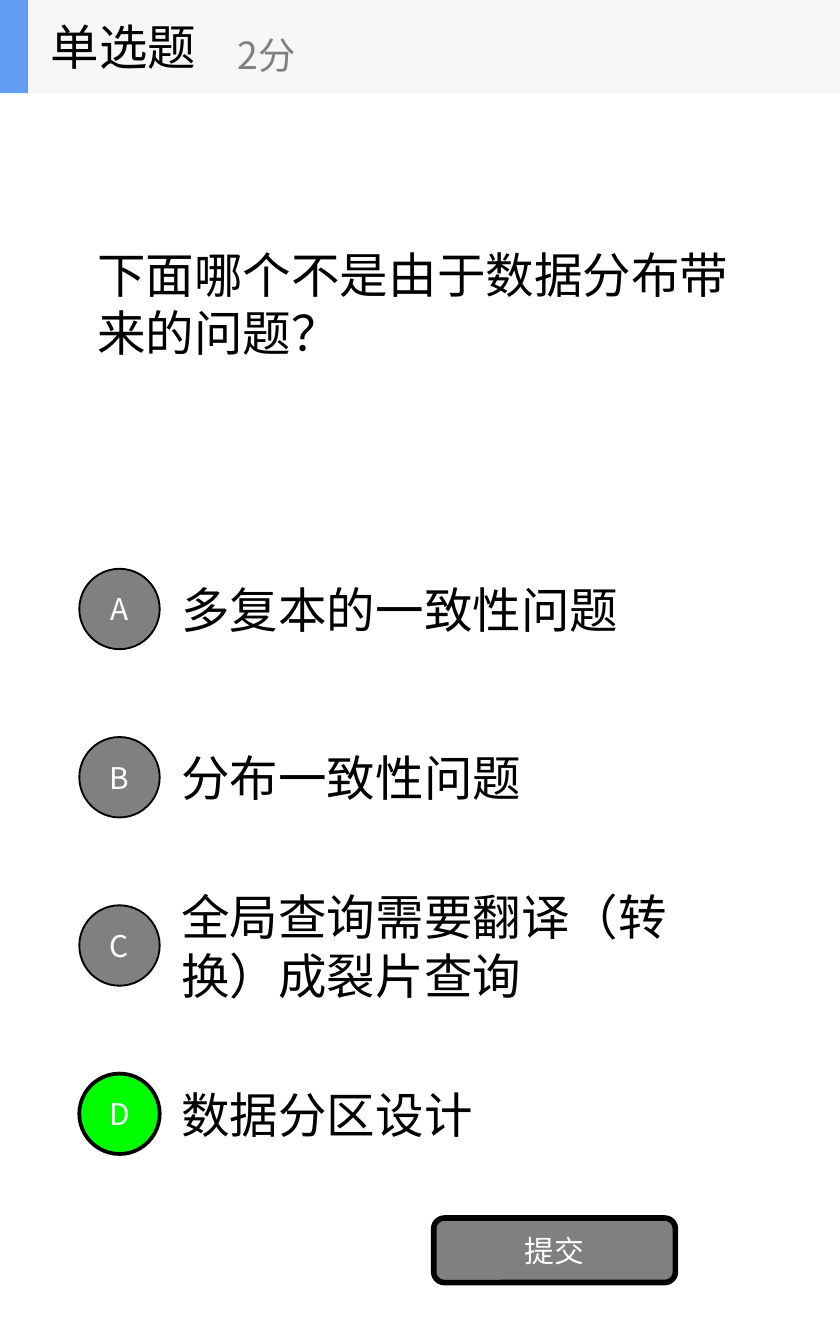
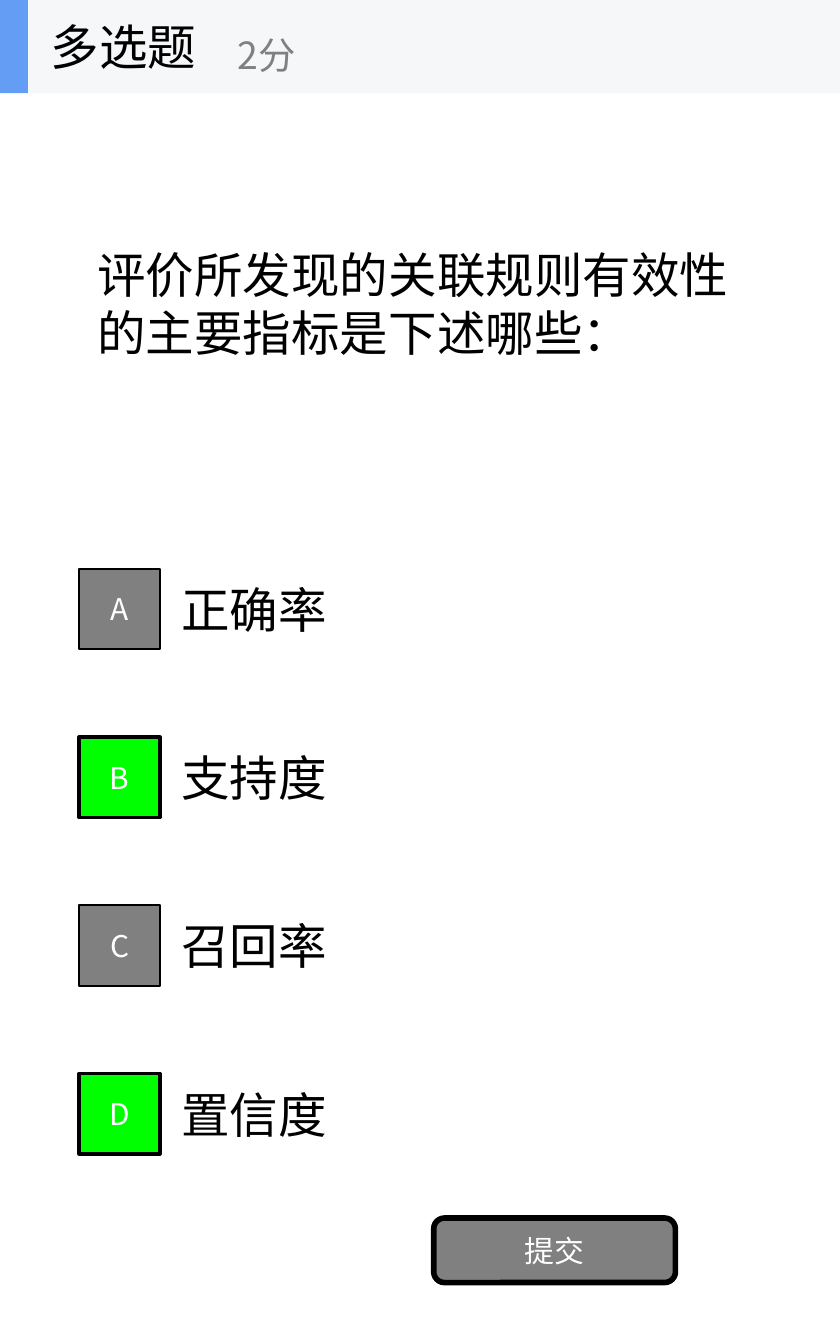
from dataclasses import dataclass

from lxml import etree
from pptx import Presentation
from pptx.dml.color import RGBColor
from pptx.enum.shapes import MSO_SHAPE
from pptx.enum.text import MSO_ANCHOR, PP_ALIGN
from pptx.oxml.ns import qn
from pptx.util import Cm, Pt

RECTANGLE = MSO_SHAPE.RECTANGLE
ROUNDED = MSO_SHAPE.ROUNDED_RECTANGLE
OVAL = MSO_SHAPE.OVAL
MIDDLE = MSO_ANCHOR.MIDDLE
LEFT = PP_ALIGN.LEFT
CENTER = PP_ALIGN.CENTER


@dataclass(frozen=True)
class Theme:
    font: str = "Noto Sans CJK SC"
    ink: str = "000000"
    paper: str = "FFFFFF"
    muted: str = "808080"
    correct: str = "00FF00"
    band: str = "F6F7F8"
    accent: str = "639EF4"
    body_size: int = 26
    score_size: int = 20
    label_size: int = 16


@dataclass(frozen=True)
class Box:
    left: float
    top: float
    width: float
    height: float

    def inner(self, left, top, width, height):
        return Box(self.left + left, self.top + top, width, height)

    def lengths(self):
        return Cm(self.left), Cm(self.top), Cm(self.width), Cm(self.height)


@dataclass(frozen=True)
class Question:
    kind: str
    prompt: str
    options: tuple
    answers: str
    marker: int


THEME = Theme()
PAGE = Box(0, 0, 15.88, 25.4)
HEADER = Box(0, 0, PAGE.width, 1.76)
PROMPT = Box(1.59, 1.76, 12.7, 7.94)
FIRST_OPTION = Box(1.5, 10.32, 12.79, 2.38)
OPTION_STEP = 3.18
SUBMIT = Box(8.2, 23.02, 4.57, 1.22)

QUESTIONS = (
    Question(
        "单选题",
        "下面哪个不是由于数据分布带来的问题？",
        ("多复本的一致性问题", "分布一致性问题",
         "全局查询需要翻译（转换）成裂片查询", "数据分区设计"),
        "D",
        OVAL,
    ),
    Question(
        "多选题",
        "评价所发现的关联规则有效性的主要指标是下述哪些：",
        ("正确率", "支持度", "召回率", "置信度"),
        "BD",
        RECTANGLE,
    ),
)


def write(shape, text, size, color, align=LEFT, wrap=True):
    frame = shape.text_frame
    frame.word_wrap = wrap
    frame.vertical_anchor = MIDDLE
    para = frame.paragraphs[0]
    para.alignment = align
    span = para.add_run()
    span.text = text
    span.font.size = Pt(size)
    span.font.name = THEME.font
    span.font.color.rgb = RGBColor.from_string(color)
    east_asian = etree.SubElement(span._r.get_or_add_rPr(), qn("a:ea"))
    east_asian.set("typeface", THEME.font)


def add_text(shapes, box, text, size=THEME.body_size, color=THEME.ink, wrap=True):
    write(shapes.add_textbox(*box.lengths()), text, size, color, wrap=wrap)


def add_block(shapes, kind, box, fill, line_width=0, label=""):
    block = shapes.add_shape(kind, *box.lengths())
    block.shadow.inherit = False
    block.fill.solid()
    block.fill.fore_color.rgb = RGBColor.from_string(fill)
    if line_width:
        block.line.color.rgb = RGBColor.from_string(THEME.ink)
        block.line.width = Pt(line_width)
    else:
        block.line.fill.background()
    if label:
        write(block, label, THEME.label_size, THEME.paper, CENTER)


def add_header(page, box, kind):
    shapes = page.shapes.add_group_shape().shapes
    add_block(shapes, RECTANGLE, box, THEME.band)
    add_block(shapes, RECTANGLE, box.inner(0, 0, 0.53, box.height), THEME.accent)
    add_text(shapes, box.inner(0.71, 0, 5.28, box.height), kind, wrap=False)
    add_text(shapes, box.inner(4.24, 0.31, 6.35, 1.43), "2分",
             THEME.score_size, THEME.muted, wrap=False)


def add_option(page, box, letter, text, marker, is_correct):
    side = 1.52
    text_left = 1.68
    add_text(page.shapes,
             box.inner(text_left, 0, box.width - text_left, box.height), text)
    fill, line_width = (THEME.correct, 2) if is_correct else (THEME.muted, 1)
    add_block(page.shapes, marker,
              box.inner(0, (box.height - side) / 2, side, side),
              fill, line_width, letter)


def add_question(deck, question):
    page = deck.slides.add_slide(deck.slide_layouts[6])
    add_text(page.shapes, PROMPT, question.prompt)
    for row, (letter, text) in enumerate(zip("ABCD", question.options)):
        box = FIRST_OPTION.inner(0, row * OPTION_STEP,
                                 FIRST_OPTION.width, FIRST_OPTION.height)
        add_option(page, box, letter, text, question.marker,
                   letter in question.answers)
    add_block(page.shapes, ROUNDED, SUBMIT, THEME.muted, 3, "提交")
    add_header(page, HEADER, question.kind)


def main():
    deck = Presentation()
    deck.slide_width = Cm(PAGE.width)
    deck.slide_height = Cm(PAGE.height)
    for question in QUESTIONS:
        add_question(deck, question)
    deck.save("out.pptx")


if __name__ == "__main__":
    main()
